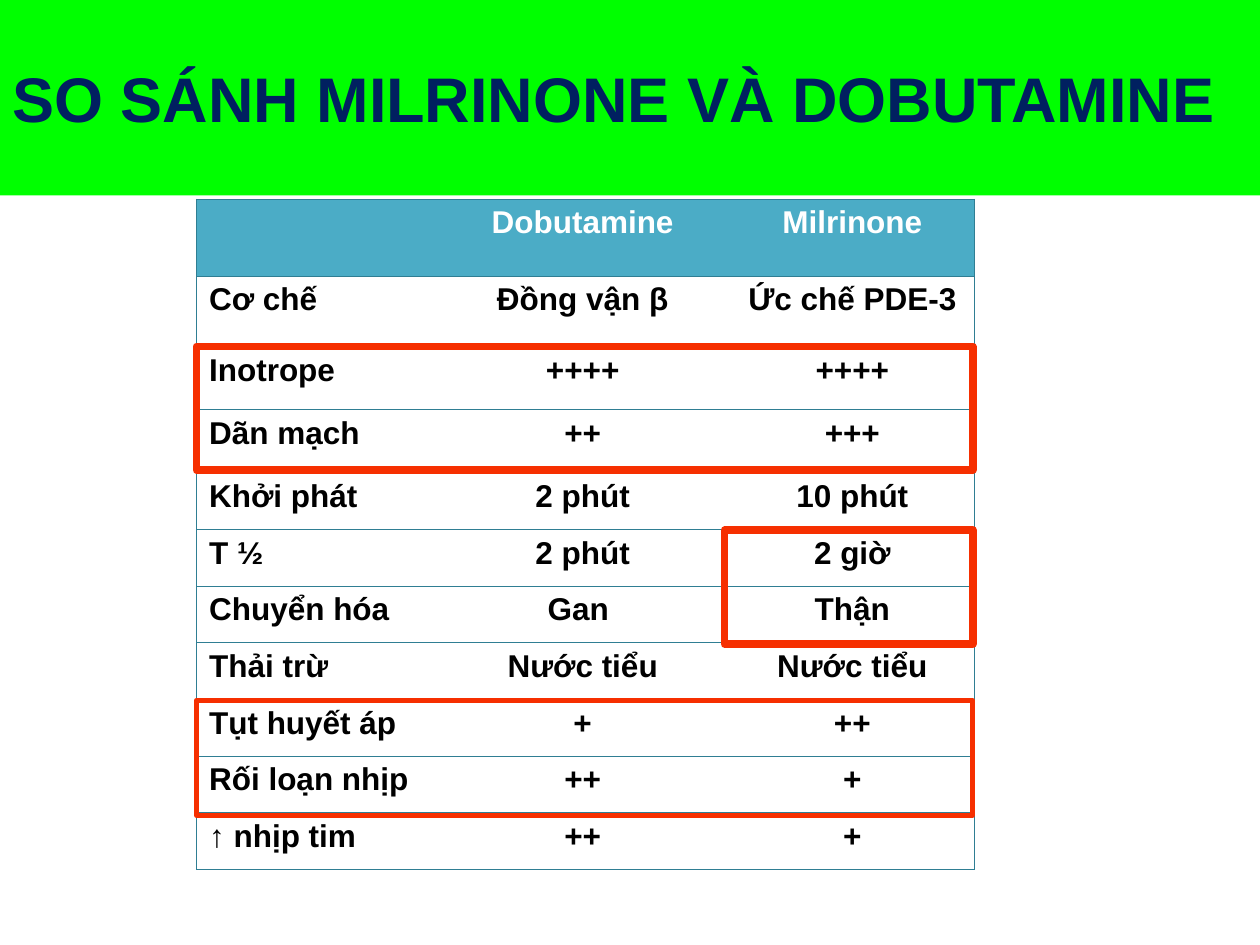
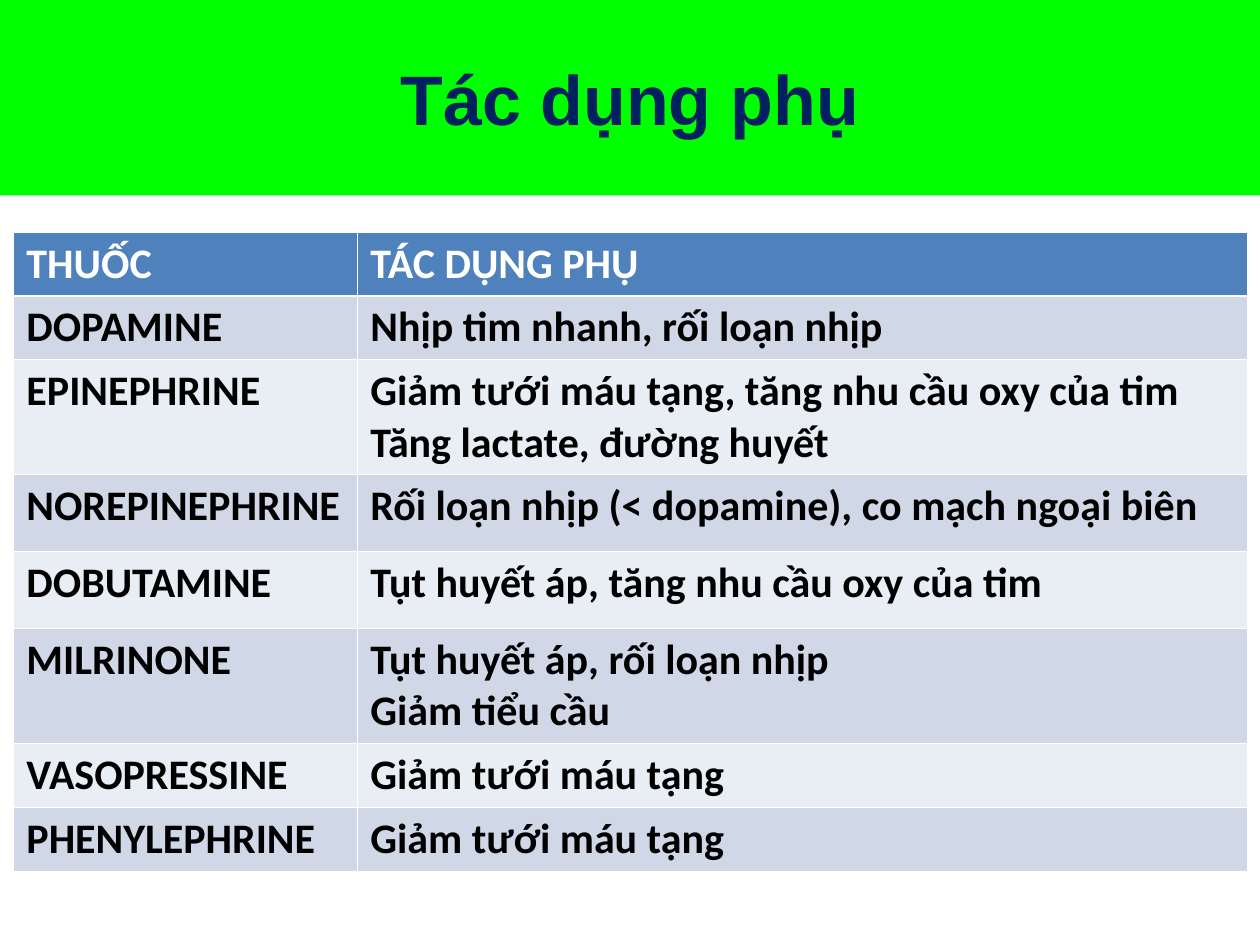
"""Two slides that compare milrinone with dobutamine and list drug side effects."""
from lxml import etree
from pptx import Presentation
from pptx import util as u
from pptx.dml.color import RGBColor
from pptx.enum import shapes, text
from pptx.oxml import ns

BAND_GREEN = RGBColor(0x00, 0xFF, 0x00)
NAVY = RGBColor(0x00, 0x20, 0x60)
WHITE = RGBColor(0xFF, 0xFF, 0xFF)
BLACK = RGBColor(0x00, 0x00, 0x00)
TEAL = RGBColor(0x4B, 0xAC, 0xC6)
TEAL_RULE = RGBColor(0x2F, 0x7E, 0x93)
HEADER_BLUE = RGBColor(0x4F, 0x81, 0xBD)
ROW_DARK = RGBColor(0xD0, 0xD8, 0xE8)
ROW_LIGHT = RGBColor(0xE9, 0xED, 0xF4)
HIGHLIGHT_RED = RGBColor(0xF6, 0x2F, 0x00)

LEFT, CENTER = text.PP_ALIGN.LEFT, text.PP_ALIGN.CENTER

COMPARISON = [
    ("", "Dobutamine", "Milrinone"),
    ("Cơ chế", "Đồng vận β", "Ức chế PDE-3"),
    ("Inotrope", "++++", "++++"),
    ("Dãn mạch", "++", "+++"),
    ("Khởi phát", "2 phút", "10 phút"),
    ("T ½", "2 phút", "2 giờ"),
    ("Chuyển hóa", "Gan ", "Thận"),
    ("Thải trừ", "Nước tiểu", "Nước tiểu"),
    ("Tụt huyết áp", "+", "++"),
    ("Rối loạn nhịp", "++", "+"),
    ("↑ nhịp tim", "++", "+"),
]
SIDE_EFFECTS = [
    ("THUỐC", "TÁC DỤNG PHỤ"),
    ("DOPAMINE", "Nhịp tim nhanh, rối loạn nhịp"),
    ("EPINEPHRINE", "Giảm tưới máu tạng, tăng nhu cầu oxy của tim\nTăng lactate, đường huyết"),
    ("NOREPINEPHRINE", "Rối loạn nhịp (< dopamine), co mạch ngoại biên"),
    ("DOBUTAMINE", "Tụt huyết áp, tăng nhu cầu oxy của tim"),
    ("MILRINONE", "Tụt huyết áp, rối loạn nhịp\nGiảm tiểu cầu"),
    ("VASOPRESSINE", "Giảm tưới máu tạng"),
    ("PHENYLEPHRINE", "Giảm tưới máu tạng"),
]


def write(frame, words, size, color, font="Arial", align=LEFT):
    """Write bold text, one paragraph per line of words."""
    for index, line in enumerate(words.split("\n")):
        paragraph = frame.add_paragraph() if index else frame.paragraphs[0]
        paragraph.alignment = align
        paragraph.font.size = u.Pt(size)
        if not line:
            continue
        run = paragraph.add_run()
        run.text = line
        run.font.size = u.Pt(size)
        run.font.name = font
        run.font.bold = True
        run.font.color.rgb = color


def add_rectangle(slide, left, top, width, height):
    """Add a rectangle without shadow."""
    rectangle = slide.shapes.add_shape(
        shapes.MSO_SHAPE.RECTANGLE, *map(u.Inches, (left, top, width, height)))
    rectangle.shadow.inherit = False
    return rectangle


def add_title_band(slide, words, size, align):
    """Add the green band that carries the slide title."""
    band = add_rectangle(slide, 0, 0, 10, 1.55)
    band.fill.solid()
    band.fill.fore_color.rgb = BAND_GREEN
    band.line.fill.background()
    band.text_frame.word_wrap = True
    band.text_frame.vertical_anchor = text.MSO_ANCHOR.MIDDLE
    write(band.text_frame, words, size, NAVY, align=align)


def add_highlight(slide, left, top, width, height, weight):
    """Add a red frame around table cells."""
    frame = add_rectangle(slide, left, top, width, height)
    frame.fill.background()
    frame.line.color.rgb = HIGHLIGHT_RED
    frame.line.width = u.Pt(weight)


def set_borders(cell, **sides):
    """Draw the sides L, R, T and B given as (colour, points); hide the others."""
    properties = cell._tc.get_or_add_tcPr()
    for side in "LRTB":
        line = etree.SubElement(properties, ns.qn("a:ln" + side))
        if side not in sides:
            etree.SubElement(line, ns.qn("a:noFill"))
            continue
        color, points = sides[side]
        line.set("w", str(u.Pt(points)))
        fill = etree.SubElement(line, ns.qn("a:solidFill"))
        etree.SubElement(fill, ns.qn("a:srgbClr"), val=str(color))


def fill_cell(cell, color=None):
    """Fill a cell, or leave it clear when no colour is given."""
    if color is None:
        cell.fill.background()
    else:
        cell.fill.solid()
        cell.fill.fore_color.rgb = color


def add_plain_table(slide, left, top, widths, heights):
    """Add a table with given column widths and row heights and no banding."""
    table = slide.shapes.add_table(
        len(heights), len(widths), u.Inches(left), u.Inches(top),
        u.Inches(sum(widths)), u.Inches(sum(heights))).table
    table.first_row = table.horz_banding = False
    for column, width in zip(table.columns, widths):
        column.width = u.Inches(width)
    for row, height in zip(table.rows, heights):
        row.height = u.Inches(height)
    return table


def add_comparison_table(slide):
    """Add the drug comparison with ruled rows and an outer frame."""
    widths = [1.89, 2.35, 1.93]
    table = add_plain_table(slide, 1.56, 1.58, widths, [0.61, 0.56, 0.5, 0.5] + [0.45] * 7)
    rule = (TEAL_RULE, 0.34)
    for row, entries in enumerate(COMPARISON):
        for column, words in enumerate(entries):
            cell = table.cell(row, column)
            outer = {0: "L", len(widths) - 1: "R"}.get(column, "")
            set_borders(cell, **{side: rule for side in "TB" + outer})
            fill_cell(cell, None if row else TEAL)
            write(cell.text_frame, words, 18, BLACK if row else WHITE,
                  align=CENTER if column else LEFT)


def add_side_effect_table(slide):
    """Add the banded table of side effects for each drug."""
    table = add_plain_table(slide, 0.11, 1.84, [2.73, 7.06],
                            [0.5, 0.5, 0.91, 0.61, 0.61, 0.91, 0.5, 0.5])
    thin, thick = (WHITE, 0.45), (WHITE, 1.47)
    for row, entries in enumerate(SIDE_EFFECTS):
        band = (ROW_DARK if row % 2 else ROW_LIGHT) if row else HEADER_BLUE
        for column, words in enumerate(entries):
            cell = table.cell(row, column)
            set_borders(cell, L=thin, R=thin, T=thick if row == 1 else thin,
                        B=thin if row else thick)
            fill_cell(cell, band)
            write(cell.text_frame, words, 24, BLACK if row else WHITE, font="Calibri")


def main():
    """Build both slides and save the deck."""
    deck = Presentation()
    deck.slide_width, deck.slide_height = u.Inches(10), u.Inches(7.5)
    blank = deck.slide_layouts[6]

    comparison = deck.slides.add_slide(blank)
    add_title_band(comparison, "SO SÁNH MILRINONE VÀ DOBUTAMINE", 36, LEFT)
    add_comparison_table(comparison)
    add_highlight(comparison, 1.56, 2.75, 6.16, 0.98, 4.5)
    add_highlight(comparison, 1.56, 5.56, 6.16, 0.91, 3)
    add_highlight(comparison, 5.75, 4.21, 1.97, 0.9, 4.5)

    side_effects = deck.slides.add_slide(blank)
    add_title_band(side_effects, "Tác dụng phụ", 40, CENTER)
    add_side_effect_table(side_effects)

    deck.save("out.pptx")


if __name__ == "__main__":
    main()
